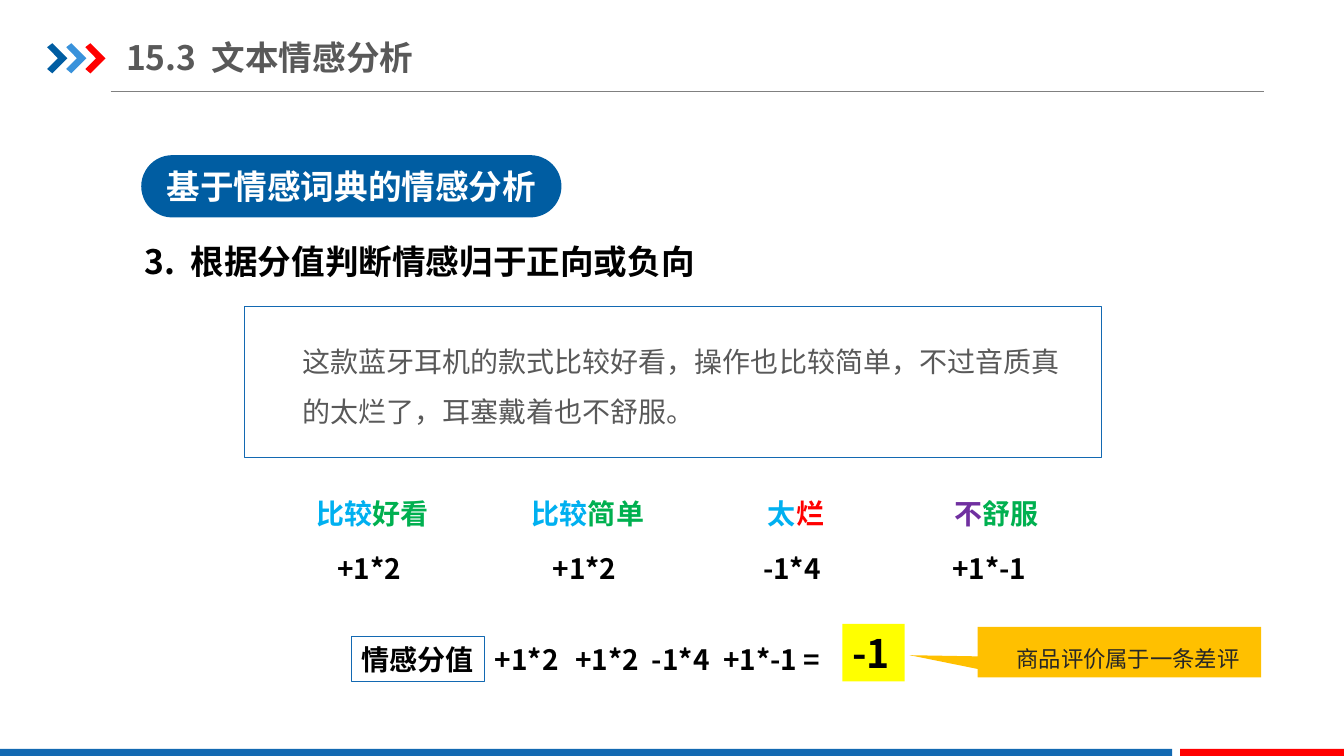
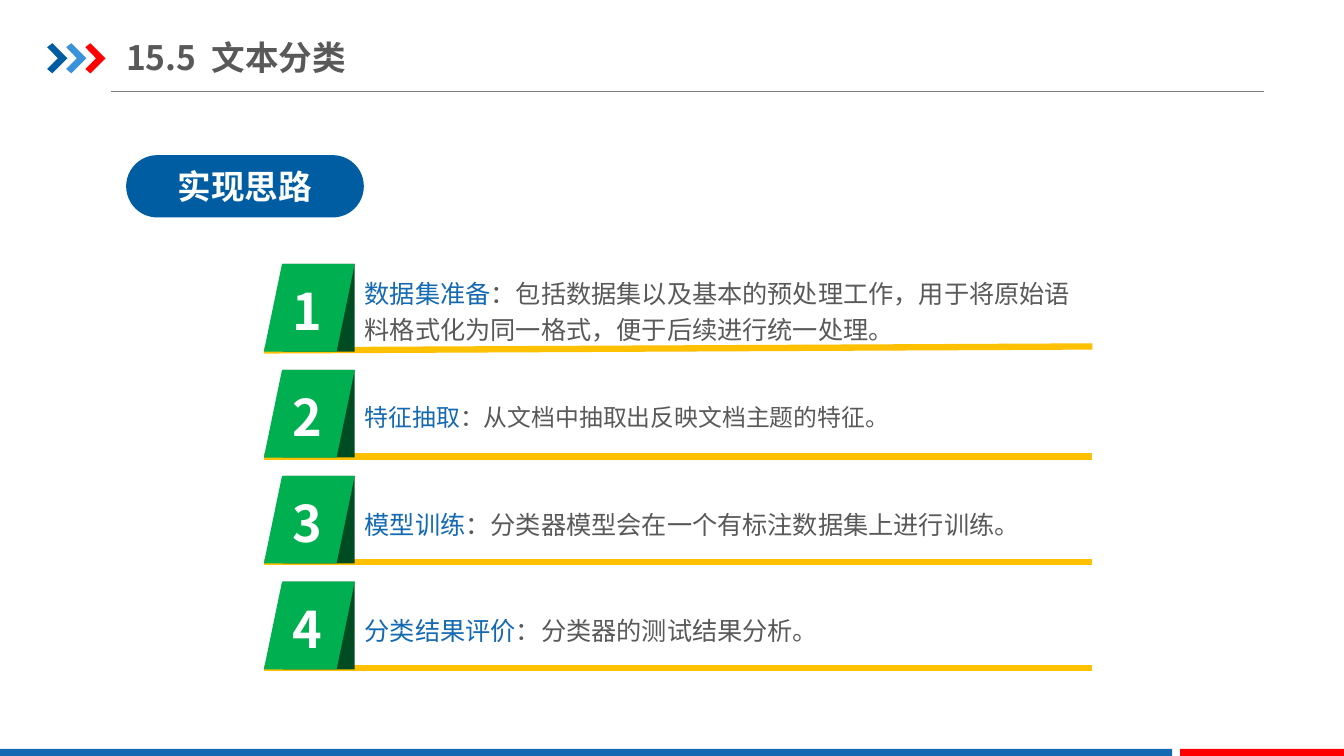
from dataclasses import dataclass

from pptx import Presentation
from pptx.dml.color import RGBColor
from pptx.enum.shapes import MSO_CONNECTOR, MSO_SHAPE
from pptx.enum.text import MSO_ANCHOR, PP_ALIGN
from pptx.oxml.xmlchemy import OxmlElement
from pptx.util import Cm, Pt


@dataclass(frozen=True)
class Theme:
    """Colours, font and type sizes shared by the slides."""

    font: str = "Noto Sans CJK SC"
    navy: str = "005DA2"
    blue: str = "1369B2"
    light_blue: str = "3992DB"
    sky: str = "00B0F0"
    red: str = "FF0000"
    green: str = "00B050"
    dark_green: str = "004C22"
    purple: str = "7030A0"
    yellow: str = "FFFF00"
    amber: str = "FFC000"
    rule: str = "808080"
    body: str = "595959"
    dark: str = "262626"
    black: str = "000000"
    white: str = "FFFFFF"
    badge_size: float = 36
    result_size: float = 28
    title_size: float = 24
    text_size: float = 20
    step_size: float = 18
    note_size: float = 16


THEME = Theme()
SLIDE_WIDTH, SLIDE_HEIGHT = 33.87, 19.05
DEFAULT_INSETS = (0.25, 0.13, 0.25, 0.13)


@dataclass(frozen=True)
class Span:
    """A stretch of text with its own colour and letter spacing."""

    text: str
    color: str = ""
    tracking: int = 0


def numbered(number, text):
    """Return the spans of a heading with a wide gap after its number."""
    return [Span(number), Span(" ", tracking=540), Span(text)]


def write_text(box, content, size=THEME.text_size, color=THEME.black, bold=False,
               align=PP_ALIGN.LEFT, anchor=MSO_ANCHOR.TOP, wrap=True,
               line_spacing=1.0, insets=DEFAULT_INSETS):
    """Fill a box with one formatted paragraph."""
    frame = box.text_frame
    frame.word_wrap = wrap
    frame.vertical_anchor = anchor
    (frame.margin_left, frame.margin_top,
     frame.margin_right, frame.margin_bottom) = map(Cm, insets)
    para = frame.paragraphs[0]
    para.alignment = align
    para.line_spacing = line_spacing
    spans = [Span(content)] if isinstance(content, str) else content
    for span in spans:
        run = para.add_run()
        run.text = span.text
        run.font.name = THEME.font
        run.font.size = Pt(size)
        run.font.bold = bold
        run.font.color.rgb = RGBColor.from_string(span.color or color)
        properties = run.font._element
        east_asian = OxmlElement("a:ea")
        east_asian.set("typeface", THEME.font)
        properties.append(east_asian)
        if span.tracking:
            properties.set("spc", str(span.tracking))


def paint(shape, fill=None, line=None):
    """Set the fill and outline of a shape and drop its shadow."""
    shape.shadow.inherit = False
    if fill:
        shape.fill.solid()
        shape.fill.fore_color.rgb = RGBColor.from_string(fill)
    else:
        shape.fill.background()
    if line:
        shape.line.color.rgb = RGBColor.from_string(line)
        shape.line.width = Pt(0.75)
    else:
        shape.line.fill.background()


def add_block(shapes, kind, left, top, width, height, fill=None, line=None):
    """Add a painted preset shape."""
    block = shapes.add_shape(kind, Cm(left), Cm(top), Cm(width), Cm(height))
    paint(block, fill, line)
    return block


def add_text(shapes, content, left, top, width, height, **style):
    """Add a text box holding one paragraph."""
    box = shapes.add_textbox(Cm(left), Cm(top), Cm(width), Cm(height))
    write_text(box, content, **style)


def add_line(shapes, left, top, right, bottom, color, weight):
    """Add a straight line without a shadow."""
    line = shapes.add_connector(
        MSO_CONNECTOR.STRAIGHT, Cm(left), Cm(top), Cm(right), Cm(bottom))
    line.line.color.rgb = RGBColor.from_string(color)
    line.line.width = Pt(weight)
    line._element.spPr.append(OxmlElement("a:effectLst"))


def add_chevrons(page, left, top):
    """Draw the three coloured chevrons beside the title."""
    group = page.shapes.add_group_shape()
    outline = [(0, 0.1), (0.13, 0), (0.51, 0.38), (0.13, 0.76), (0, 0.65), (0.27, 0.38)]
    for index, color in enumerate((THEME.navy, THEME.light_blue, THEME.red)):
        points = [(Cm(left + 0.48 * index + x), Cm(top + y)) for x, y in outline]
        builder = group.shapes.build_freeform(*points[0])
        builder.add_line_segments(points[1:], close=True)
        paint(builder.convert_to_shape(), color)


def add_page(deck, number, title):
    """Add a blank page with the shared title, rule and footer band."""
    page = deck.slides.add_slide(deck.slide_layouts[6])
    add_line(page.shapes, 2.79, 2.31, 31.85, 2.31, THEME.rule, 0.75)
    add_chevrons(page, 1.19, 1.09)
    band_top = 18.87
    for left, right, color in ((0, 29.54, THEME.blue), (29.74, SLIDE_WIDTH, THEME.red)):
        add_block(page.shapes, MSO_SHAPE.RECTANGLE, left, band_top,
                  right - left, SLIDE_HEIGHT - band_top, color)
    add_text(page.shapes, numbered(number, title), 3.18, 0.74, 12.4, 1.4,
             size=THEME.title_size, color=THEME.body, bold=True,
             anchor=MSO_ANCHOR.MIDDLE, insets=(0, 0.18, 0, 0.18))
    return page


def add_pill(page, text, left, width):
    """Add the rounded section label."""
    pill = add_block(page.shapes, MSO_SHAPE.ROUNDED_RECTANGLE,
                     left, 3.91, width, 1.57, THEME.navy)
    pill.adjustments[0] = 0.5
    write_text(pill, text, size=THEME.title_size, color=THEME.white, bold=True,
               align=PP_ALIGN.CENTER, anchor=MSO_ANCHOR.MIDDLE)


def add_review(page, left, top, width, height):
    """Add the framed product review."""
    review = add_block(page.shapes, MSO_SHAPE.RECTANGLE,
                       left, top, width, height, line=THEME.blue)
    write_text(review,
               "这款蓝牙耳机的款式比较好看，操作也比较简单，不过音质真的太烂了，耳塞戴着也不舒服。",
               color=THEME.body, line_spacing=1.5, insets=(1.45, 0.53, 0.84, 0.13))


def add_scores(page, term_top, score_top, sum_top):
    """Place the scored words in columns and repeat their scores in the sum."""
    columns = [
        (9.4, [Span("比较", THEME.sky), Span("好看", THEME.green)], "+1*2", 2.29, 12.22),
        (14.83, [Span("比较", THEME.sky), Span("简单", THEME.green)], "+1*2", 2.31, 14.25),
        (20.07, [Span("太", THEME.sky), Span("烂", THEME.red)], "-1*4", 2.18, 16.18),
        (25.13, [Span("不", THEME.purple), Span("舒服", THEME.green)], "+1*-1", 2.77, 17.98),
    ]
    for center, term, score, width, sum_left in columns:
        term_width = 0.51 + 0.71 * sum(len(span.text) for span in term)
        add_text(page.shapes, term, center - term_width / 2, term_top,
                 term_width, 1.12, bold=True, wrap=False)
        add_text(page.shapes, score, center - width / 2, score_top,
                 width, 1.12, bold=True)
        is_last = score == columns[-1][2]
        add_text(page.shapes, score + " =" if is_last else score, sum_left, sum_top,
                 3.43 if is_last else width, 1.12, bold=True)


def add_result(page, top):
    """Add the sum's label, its result and the verdict callout."""
    label = add_block(page.shapes, MSO_SHAPE.RECTANGLE, 8.86, top, 3.35, 1.12,
                      line=THEME.blue)
    write_text(label, "情感分值", bold=True, wrap=False)
    result = add_block(page.shapes, MSO_SHAPE.RECTANGLE, 21.23, top - 0.33, 1.57, 1.45,
                       THEME.yellow)
    write_text(result, "-1", size=THEME.result_size, bold=True, wrap=False)
    callout = add_block(page.shapes, MSO_SHAPE.RECTANGULAR_CALLOUT,
                        24.64, top - 0.25, 7.14, 1.27, THEME.amber)
    callout.adjustments[0] = -0.74
    callout.adjustments[1] = 0.06
    write_text(callout, "商品评价属于一条差评", size=THEME.note_size, color=THEME.dark,
               align=PP_ALIGN.CENTER, line_spacing=1.5, insets=(0.69, 0.13, 0.25, 0.13))


def add_badge(page, number, left, top):
    """Add a slanted number badge over its dark fold."""
    shapes = page.shapes.add_group_shape().shapes
    add_block(shapes, MSO_SHAPE.RECTANGLE, left + 0.48, top, 1.81, 2.21, THEME.dark_green)
    add_block(shapes, MSO_SHAPE.FLOWCHART_DATA, left, top, 2.29, 2.21, THEME.green)
    add_text(shapes, str(number), left + 0.48, top + 0.28, 1.3, 1.8,
             size=THEME.badge_size, color=THEME.white, bold=True, wrap=False)


def add_step(page, number, heading, detail, left, top, height=1.17, rise=0.0,
             size=THEME.step_size):
    """Add one underlined step with its badge and description."""
    line_top = top + 2.18
    add_line(page.shapes, left, line_top, left + 20.88, line_top - rise, THEME.amber, 4.5)
    add_badge(page, number, left, top)
    add_text(page.shapes, [Span(heading, THEME.blue), Span("：" + detail)],
             left + 2.29, top + 1.14 - height / 2, 18.59, height,
             size=size, color=THEME.body, line_spacing=1.2)


def build_sentiment(deck):
    """Build the slide that scores a review."""
    page = add_page(deck, "15.3", "文本情感分析")
    add_pill(page, "基于情感词典的情感分析", 3.56, 10.59)
    add_text(page.shapes, numbered("3.", "根据分值判断情感归于正向或负向"),
             3.4, 5.94, 14.71, 1.27, size=THEME.title_size, bold=True)
    add_review(page, 6.17, 7.72, 21.59, 3.81)
    add_scores(page, 12.37, 13.77, 16.05)
    add_result(page, 16.05)


def build_classification(deck):
    """Build the slide that lists the classification steps."""
    page = add_page(deck, "15.5", "文本分类")
    add_pill(page, "实现思路", 3.18, 5.99)
    steps = [
        ("数据集准备",
         "包括数据集以及基本的预处理工作，用于将原始语料格式化为同一格式，便于后续进行统一处理。",
         {"height": 2.11, "rise": 0.1}),
        ("特征抽取", "从文档中抽取出反映文档主题的特征。", {"size": 17}),
        ("模型训练", "分类器模型会在一个有标注数据集上进行训练。", {}),
        ("分类结果评价", "分类器的测试结果分析。", {}),
    ]
    for index, (heading, detail, options) in enumerate(steps):
        add_step(page, index + 1, heading, detail, 6.65, 6.65 + 2.67 * index, **options)


def main():
    """Build and save the deck."""
    deck = Presentation()
    deck.slide_width, deck.slide_height = Cm(SLIDE_WIDTH), Cm(SLIDE_HEIGHT)
    build_sentiment(deck)
    build_classification(deck)
    deck.save("out.pptx")


if __name__ == "__main__":
    main()
